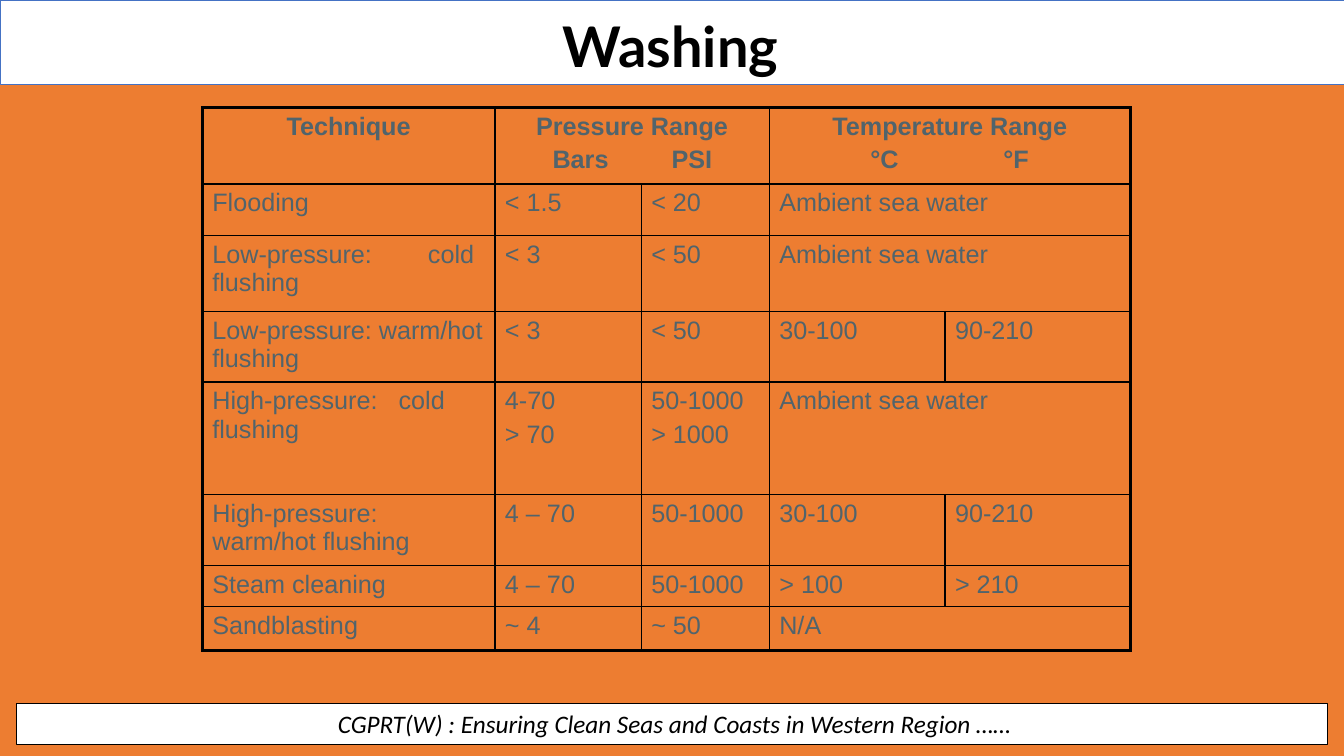
"""Build the slide on washing techniques with their pressure and temperature ranges."""
import pptx
import pptx.util
import pptx.dml.color
import pptx.enum.shapes
import pptx.enum.text
import pptx.oxml
import pptx.oxml.ns

Pt = pptx.util.Pt
RGB = pptx.dml.color.RGBColor.from_string
ALIGN = pptx.enum.text.PP_ALIGN
RECT = pptx.enum.shapes.MSO_SHAPE.RECTANGLE
NS = pptx.oxml.ns.nsdecls("a")
COLORS = {"back": "ED7D31", "white": "FFFFFF", "black": "000000",
          "blue": "4472C4", "slate": "51646C"}


def add_bar(left, top, width, height, line, weight):
    bar = slide.shapes.add_shape(RECT, Pt(left), Pt(top), Pt(width), Pt(height))
    bar.shadow.inherit = False
    bar.fill.solid()
    bar.fill.fore_color.rgb = RGB(COLORS[line and "white"])
    bar.line.color.rgb = RGB(COLORS[line])
    bar.line.width = Pt(weight)
    return bar


def style(para, face, size, color, bold=False, italic=False):
    for run in para.runs:
        run.font.name = face
        run.font.size = Pt(size)
        run.font.color.rgb = RGB(COLORS[color])
        run.font.bold = bold
        run.font.italic = italic


deck = pptx.Presentation()
deck.slide_width, deck.slide_height = Pt(960), Pt(540)
slide = deck.slides.add_slide(deck.slide_layouts[6])
slide.background.fill.solid()
slide.background.fill.fore_color.rgb = RGB(COLORS["back"])

foot = add_bar(11.5, 502.5, 936.5, 29, "black", 0.75).text_frame
foot.text = "CGPRT(W) : Ensuring Clean Seas and Coasts in Western Region ……"
foot.margin_left = Pt(11.5)
foot.word_wrap = True
foot.vertical_anchor = pptx.enum.text.MSO_ANCHOR.MIDDLE
foot.paragraphs[0].alignment = ALIGN.CENTER
style(foot.paragraphs[0], "Calibri", 18, "black", italic=True)

add_bar(0, 0, 960, 60.5, "blue", 0.5)
title = slide.shapes.add_textbox(Pt(155), Pt(10), Pt(648), Pt(44)).text_frame
title.word_wrap = True
title.text = "Washing"
title.paragraphs[0].alignment = ALIGN.CENTER
title.paragraphs[0].line_spacing = 0.9
style(title.paragraphs[0], "Lato", 40, "black", bold=True)

WIDTHS = [209, 104.5, 91.5, 125.5, 132.5]
HEIGHTS = [54.5, 36.5, 54.5, 50.5, 80.5, 50.5, 29.5, 31.5]
ROWS = [
    ["Technique", "Pressure Range\n\tBars\tPSI", None, "Temperature Range\n\t°C\t°F", None],
    ["Flooding", "< 1.5", "< 20", "Ambient sea water", None],
    ["Low-pressure:\tcold flushing", "< 3", "< 50", "Ambient sea water", None],
    ["Low-pressure: warm/hot flushing", "< 3", "< 50", "30-100", "90-210"],
    ["High-pressure:\tcold flushing", "4-70\n> 70", "50-1000\n> 1000", "Ambient sea water", None],
    ["High-pressure: warm/hot flushing", "4 – 70", "50-1000", "30-100", "90-210"],
    ["Steam cleaning", "4 – 70", "50-1000", "> 100", "> 210"],
    ["Sandblasting", "~ 4", "~ 50", "N/A", None],
]
TABS = {"\tBars\tPSI": [34, 119], "\t°C\t°F": [65, 160],
        "Low-pressure:\tcold flushing": [154], "High-pressure:\tcold flushing": [133]}

frame = slide.shapes.add_table(len(ROWS), len(WIDTHS), Pt(144.5), Pt(77),
                               Pt(sum(WIDTHS)), Pt(sum(HEIGHTS)))
table = frame.table
table.first_row = table.horz_banding = False
for col, width in zip(table.columns, WIDTHS):
    col.width = Pt(width)
for row, height in zip(table.rows, HEIGHTS):
    row.height = Pt(height)

for r, texts in enumerate(ROWS):
    for c, text in enumerate(texts):
        cell = table.cell(r, c)
        wide = c + 1 < len(texts) and texts[c + 1] is None
        if wide:
            cell.merge(table.cell(r, c + 1))
        outer = {"L": c == 0, "R": c + 1 + wide == len(texts),
                 "T": r == 0, "B": r + 1 == len(ROWS)}
        for side, thick in outer.items():
            if text is None and side == "L":
                continue
            cell._tc.get_or_add_tcPr().append(pptx.oxml.parse_xml(
                f'<a:ln{side} {NS} w="{Pt(2.25 if thick else 1)}"><a:solidFill>'
                f'<a:srgbClr val="{COLORS["black"]}"/></a:solidFill></a:ln{side}>'))
        cell.fill.background()
        if text is None:
            continue
        cell.text_frame.text = text
        for n, para in enumerate(cell.text_frame.paragraphs):
            stops = TABS.get(para.text, [])
            if stops:
                marks = "".join(f'<a:tab pos="{Pt(s)}" algn="l"/>' for s in stops)
                para._p.get_or_add_pPr().append(
                    pptx.oxml.parse_xml(f"<a:tabLst {NS}>{marks}</a:tabLst>"))
            if n:
                para.space_before = Pt(3.6)
            para.alignment = ALIGN.LEFT if r or stops else ALIGN.CENTER
            style(para, "Arial", 18, "slate", bold=r == 0)

deck.save("out.pptx")
